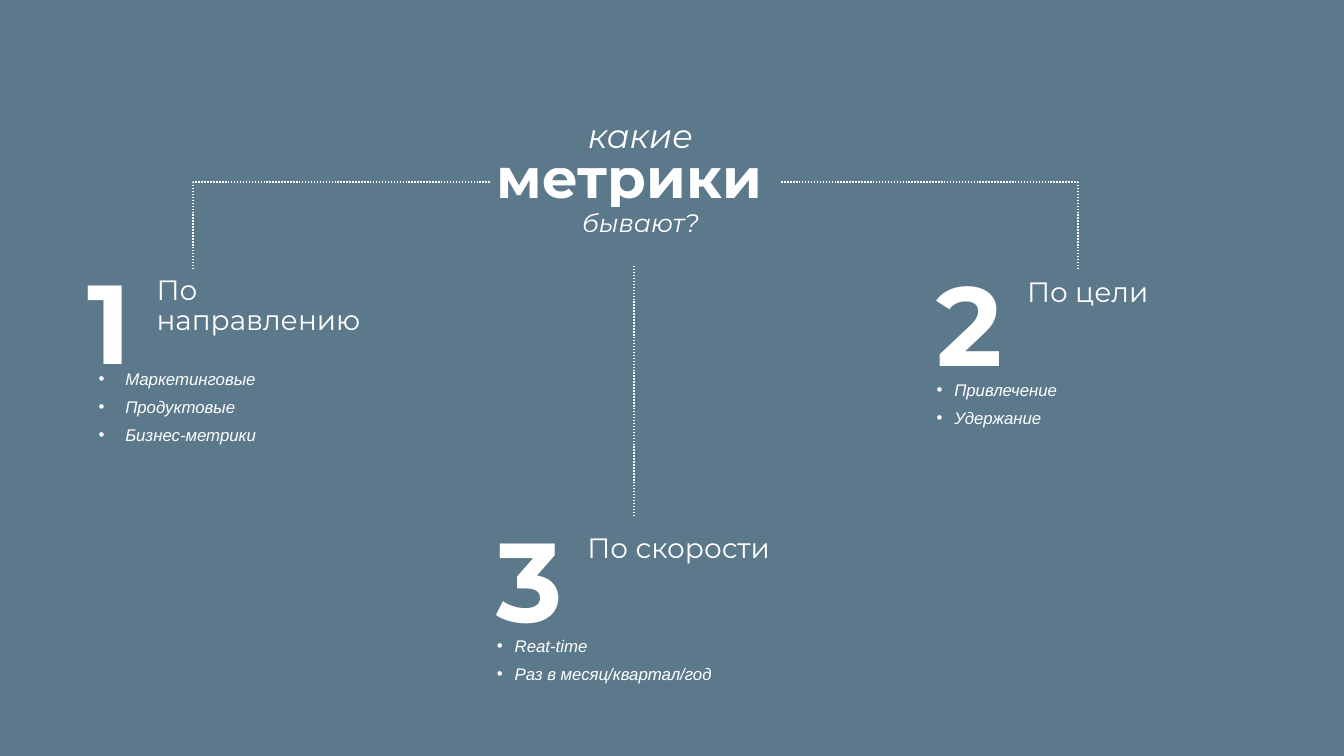
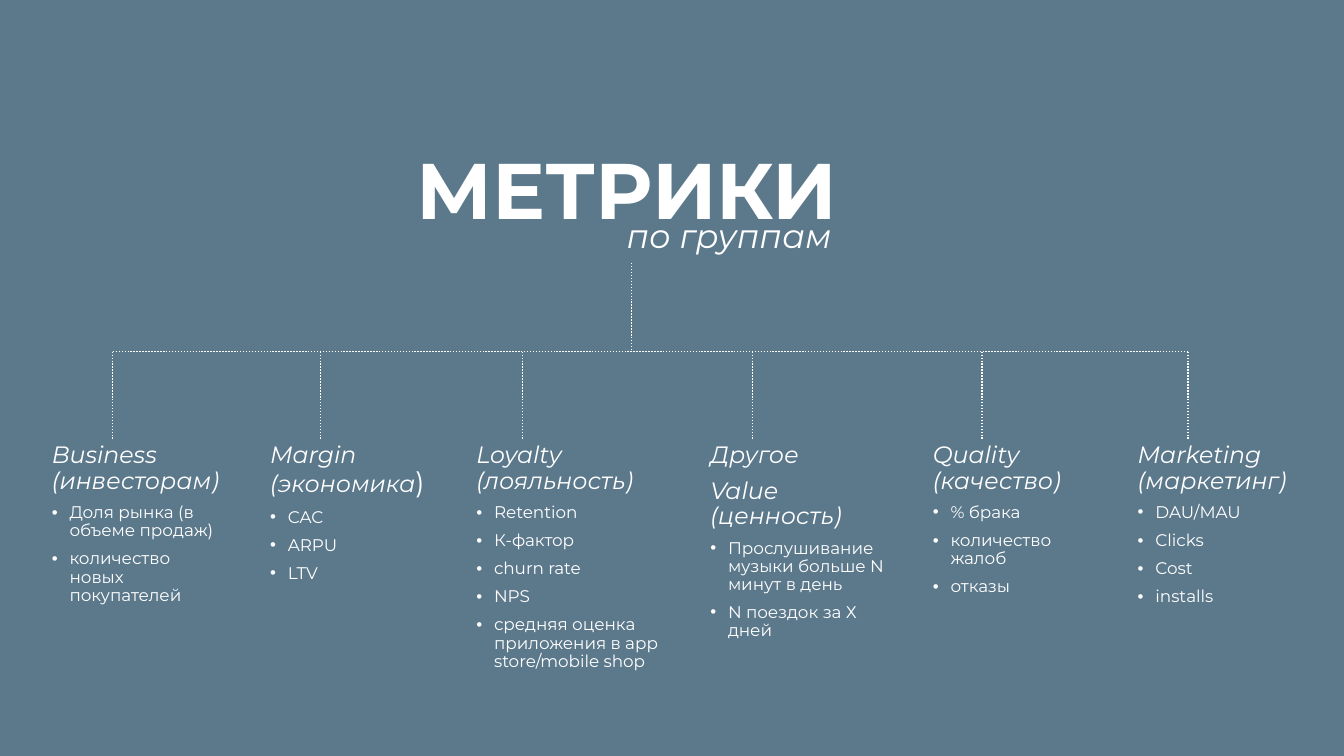
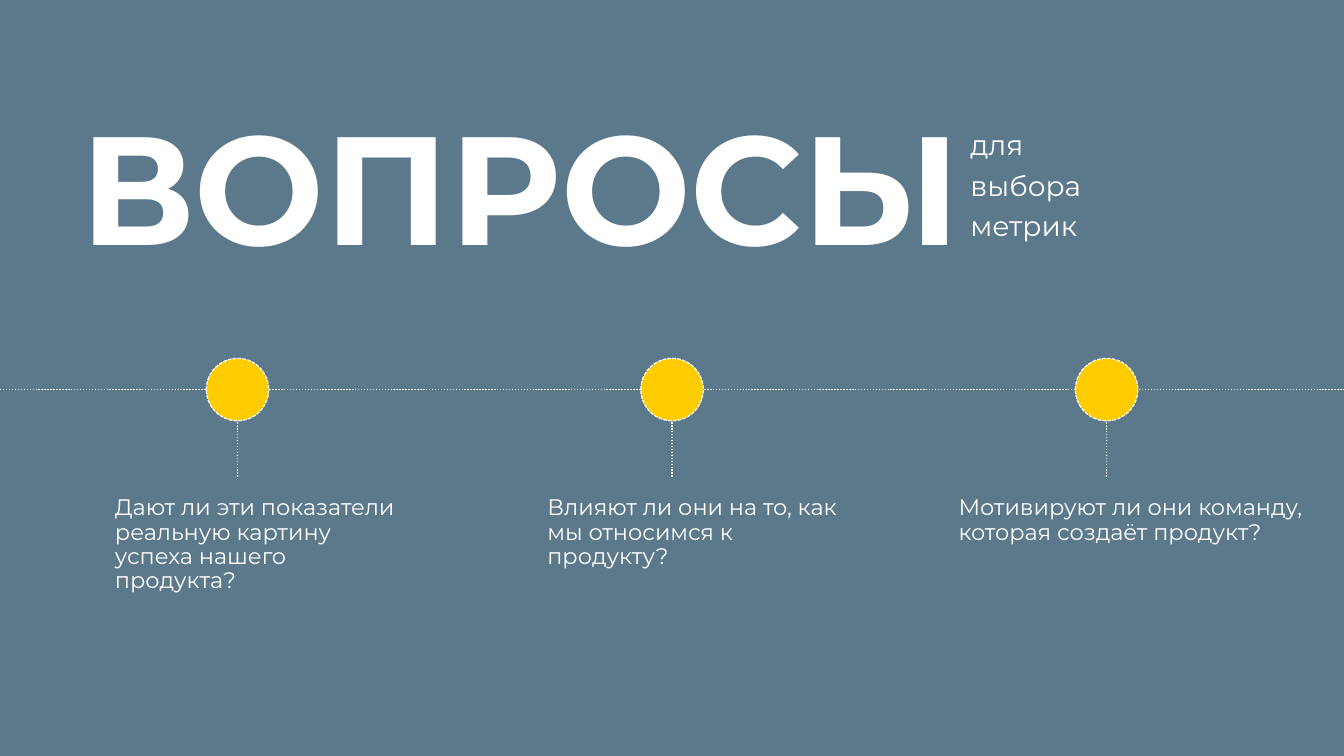
from dataclasses import dataclass

from lxml import etree
from pptx import Presentation
from pptx.dml.color import RGBColor
from pptx.enum.dml import MSO_LINE
from pptx.enum.shapes import MSO_CONNECTOR, MSO_SHAPE
from pptx.enum.text import MSO_ANCHOR, MSO_AUTO_SIZE, PP_ALIGN
from pptx.oxml.ns import qn
from pptx.util import Pt

DOTTED, DASHED = MSO_LINE.ROUND_DOT, MSO_LINE.SQUARE_DOT
STRAIGHT, OVAL = MSO_CONNECTOR.STRAIGHT, MSO_SHAPE.OVAL
LEFT, CENTER = PP_ALIGN.LEFT, PP_ALIGN.CENTER
TOP, NO_FIT = MSO_ANCHOR.TOP, MSO_AUTO_SIZE.NONE
LEFT_SIDE, RIGHT_SIDE = 1, 3
COMPARISON_LAYOUT = 4  # a title and four bodies


@dataclass(frozen=True)
class Style:
    size: float
    bold: bool = False
    italic: bool = False
    font: str = "Montserrat"


@dataclass(frozen=True)
class Theme:
    """Colours and type used on every slide."""
    width: float = 1365
    height: float = 767.5
    back: RGBColor = RGBColor(0x5C, 0x79, 0x8C)
    ink: RGBColor = RGBColor(0xFF, 0xFF, 0xFF)
    accent: RGBColor = RGBColor(0xFF, 0xCC, 0x00)
    line_spacing: float = 0.9
    space_before: float = 10
    line_width: float = 1.5
    title: Style = Style(56.9, bold=True)
    title_large: Style = Style(80, bold=True)
    title_huge: Style = Style(156.4, bold=True)
    subtitle: Style = Style(34.1, italic=True)
    subtitle_small: Style = Style(25.6, italic=True)
    number: Style = Style(113.8, bold=True)
    label: Style = Style(28.4)
    heading: Style = Style(24, italic=True)
    item: Style = Style(17.1)
    item_italic: Style = Style(17.1, italic=True, font="Arial")
    question: Style = Style(22.8)


THEME = Theme()


# Text
def format_run(run, style):
    run.font.name = style.font
    run.font.size = Pt(style.size)
    run.font.bold = style.bold
    run.font.italic = style.italic
    run.font.color.rgb = THEME.ink


def set_bullet(para, indent):
    """Give the paragraph a hanging bullet, or none when indent is 0."""
    properties = para._p.get_or_add_pPr()
    properties.set("marL", str(int(Pt(indent))))
    properties.set("indent", str(-int(Pt(indent))))
    if indent:
        etree.SubElement(properties, qn("a:buFont")).set("typeface", "Arial")
        etree.SubElement(properties, qn("a:buChar")).set("char", "•")
    else:
        etree.SubElement(properties, qn("a:buNone"))


def write(box, texts, style, indent=0, align=LEFT):
    """Add one paragraph per text, filling the empty first one."""
    frame = box.text_frame
    for text in texts:
        first = not frame.text
        para = frame.paragraphs[0] if first else frame.add_paragraph()
        para.text = text
        set_bullet(para, indent)
        para.alignment = align
        para.line_spacing = THEME.line_spacing
        para.space_before = Pt(0 if first else THEME.space_before)
        para.space_after = Pt(0)
        for run in para.runs:
            format_run(run, style)


def place(box, area):
    box.left, box.top, box.width, box.height = map(Pt, area)
    frame = box.text_frame
    frame.word_wrap = True
    frame.auto_size = NO_FIT
    frame.vertical_anchor = TOP
    frame.margin_left = frame.margin_right = Pt(7.2)
    frame.margin_top = frame.margin_bottom = Pt(3.6)
    return box


def add_title(slide, area, text, style, align=LEFT):
    title = place(slide.shapes.title, area)
    write(title, [text], style, align=align)
    return title


def add_text(slide, area, texts, style, align=LEFT):
    box = place(slide.shapes.add_textbox(0, 0, 0, 0), area)
    write(box, texts, style, align=align)
    return box


def add_body(slide, area):
    """Take the next free body placeholder, or a text box when all are used."""
    free = [holder for holder in slide.placeholders
            if holder.placeholder_format.idx and not holder.text_frame.text]
    return place(free[0] if free else slide.shapes.add_textbox(0, 0, 0, 0), area)


# Lines and slides
def add_line(slide, start, end):
    line = slide.shapes.add_connector(STRAIGHT, *map(Pt, (*start, *end)))
    line.line.color.rgb = THEME.ink
    line.line.width = Pt(THEME.line_width)
    line.line.dash_style = DOTTED
    etree.SubElement(line._element.spPr, qn("a:effectLst"))
    return line


def add_slide(deck):
    return deck.slides.add_slide(deck.slide_layouts[COMPARISON_LAYOUT])


def remove_empty_placeholders(slide):
    for holder in list(slide.placeholders):
        if not holder.text_frame.text:
            holder._element.getparent().remove(holder._element)


def build_kinds(deck):
    slide = add_slide(deck)

    # Title between two smaller words
    title = add_title(slide, (497.5, 148.3, 296, 72.8), "метрики", THEME.title)
    for top, text, style in ((117.4, "какие", THEME.subtitle),
                             (210.2, "бывают?", THEME.subtitle_small)):
        word = add_text(slide, (522.7, top, 255.6, 53.3), [text], style, CENTER)
        word.fill.solid()
        word.fill.fore_color.rgb = THEME.back

    # Branches
    branch_y = 184.7
    for x, side in ((195.8, LEFT_SIDE), (1095.1, RIGHT_SIDE)):
        branch = add_line(slide, (643, branch_y), (x, branch_y))
        branch.begin_connect(title, side)
        add_line(slide, (x, branch_y), (x, 274.3))
    add_line(slide, (643.7, 270), (643.7, 522.7))

    # Kinds: number corner, label offset, list offset, indent, label, items
    kinds = (
        ((82, 268.6), (70, 8.6), (11, 104.4), 27, "По направлению",
         ("Маркетинговые", "Продуктовые", "Бизнес-метрики")),
        ((944, 270), (92, 9), (0, 113.8), 18, "По цели",
         ("Привлечение", "Удержание")),
        ((497.5, 529.9), (92, 8.7), (0, 113.8), 18, "По скорости",
         ("Reat-time", "Раз в месяц/квартал/год")),
    )
    for number, (corner, label_shift, list_shift, indent, label, items) in enumerate(kinds, 1):
        x, y = corner
        add_text(slide, (x, y, 81.4, 72.7), [str(number)], THEME.number)
        add_text(slide, (x + label_shift[0], y + label_shift[1], 247, 90),
                 [label], THEME.label)
        body = add_body(slide, (x + list_shift[0], y + list_shift[1], 339, 110))
        write(body, items, THEME.item_italic, indent)
    remove_empty_placeholders(slide)


def build_groups(deck):
    slide = add_slide(deck)
    add_title(slide, (378.7, 149.8, 517, 72.7), "МЕТРИКИ", THEME.title_large, CENTER)
    add_text(slide, (612.7, 218.9, 255.6, 53.3), ["по группам"], THEME.subtitle, CENTER)

    # Columns: left, width, stem, headings, closing mark, items
    columns = (
        (45.4, 191.5, 114.5, ["Business (инвесторам)"], "",
         ("Доля рынка (в объеме продаж)", "количество новых покупателей")),
        (267.1, 180.7, 325.4, ["Margin (экономика"], ")", ("CAC", "ARPU", "LTV")),
        (476.6, 235.5, 530.6, ["Loyalty (лояльность)"], "",
         ("Retention", "К-фактор", "churn rate", "NPS",
          "средняя оценка приложения в app store/mobile shop")),
        (714.2, 194.4, 764, ["Другое", "Value (ценность)"], "",
         ("Прослушивание музыки больше N минут в день", "N поездок за Х дней")),
        (940.3, 173.5, 997.2, ["Quality (качество)"], "",
         ("% брака", "количество жалоб", "отказы")),
        (1148.4, 210, 1206.7, ["Marketing (маркетинг)"], "",
         ("DAU/MAU", "Clicks", "Cost", "installs")),
    )

    # Tree
    rail_y, column_top = 357, 446.4
    add_line(slide, (641.5, 267), (641.5, rail_y))
    add_line(slide, (columns[0][2], rail_y), (columns[-1][2], rail_y))
    for left, width, stem, headings, closing, items in columns:
        add_line(slide, (stem, rail_y), (stem, column_top))
        body = add_body(slide, (left, column_top, width, 300))
        write(body, headings, THEME.heading)
        if closing:
            span = body.text_frame.paragraphs[0].add_run()
            span.text = closing
            format_run(span, THEME.label)
        write(body, items, THEME.item, 18)
    remove_empty_placeholders(slide)


def build_questions(deck):
    slide = add_slide(deck)
    add_title(slide, (74.2, 110.9, 946, 72.7), "ВОПРОСЫ", THEME.title_huge)
    add_text(slide, (978.5, 130.3, 247, 115), ["для", "выбора", "метрик"], THEME.label)

    # Timeline
    axis_y, diameter = 395.5, 63.4
    first_x, step = 241.2, 441.35
    add_line(slide, (0, axis_y), (THEME.width, axis_y))
    questions = (
        (109.5, 315, "Дают ли эти показатели реальную картину успеха нашего продукта?"),
        (548.7, 315, "Влияют ли они на то, как мы относимся к продукту?"),
        (966.3, 366.5, "Мотивируют ли они команду, которая создаёт продукт?"),
    )
    for index, (left, width, question) in enumerate(questions):
        x = first_x + index * step
        add_line(slide, (x, axis_y), (x, 485.3))
        dot = slide.shapes.add_shape(OVAL, Pt(x - diameter / 2), Pt(axis_y - diameter / 2),
                                     Pt(diameter), Pt(diameter))
        dot.shadow.inherit = False
        dot.fill.solid()
        dot.fill.fore_color.rgb = THEME.accent
        dot.line.color.rgb = THEME.ink
        dot.line.width = Pt(1.25)
        dot.line.dash_style = DASHED
        write(add_body(slide, (left, 500.4, width, 110)), [question], THEME.question)
    remove_empty_placeholders(slide)


def main():
    deck = Presentation()
    deck.slide_width, deck.slide_height = Pt(THEME.width), Pt(THEME.height)
    fill = deck.slide_master.background.fill
    fill.solid()
    fill.fore_color.rgb = THEME.back
    build_kinds(deck)
    build_groups(deck)
    build_questions(deck)
    deck.save("out.pptx")


if __name__ == "__main__":
    main()
